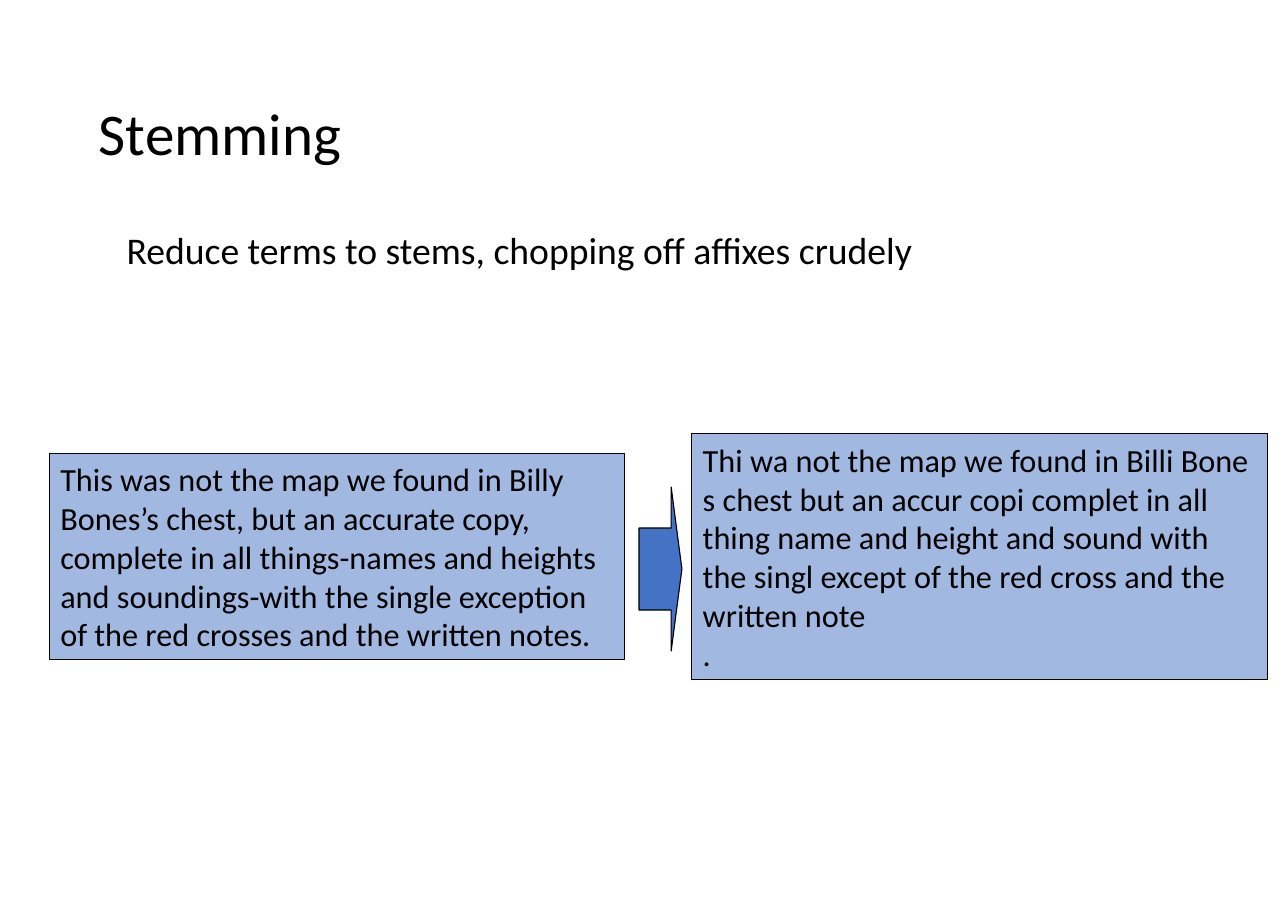
import pptx
import pptx.dml.color
import pptx.enum.shapes
import pptx.enum.text
import pptx.util
from lxml import etree
from pptx.oxml.ns import qn

Cm, Pt = pptx.util.Cm, pptx.util.Pt
RGBColor = pptx.dml.color.RGBColor
Shape = pptx.enum.shapes.MSO_SHAPE
Anchor = pptx.enum.text.MSO_ANCHOR
AutoSize = pptx.enum.text.MSO_AUTO_SIZE
Align = pptx.enum.text.PP_ALIGN

BLACK = RGBColor(0x00, 0x00, 0x00)
BLUE = RGBColor(0x44, 0x72, 0xC4)

TITLE = "Stemming"
BULLET = "Reduce terms to stems, chopping off affixes crudely"
ORIGINAL_TEXT = [
    "This was not the map we found in Billy Bones’s chest, but an accurate copy, "
    "complete in all things-names and heights and soundings-with the single "
    "exception of the red crosses and the written notes.",
]
STEMMED_TEXT = [
    "Thi wa not the map we found in Billi Bone s chest but an accur copi complet "
    "in all thing name and height and sound with the singl except of the red "
    "cross and the written note",
    ".",
]

# Left edge, height and paragraphs of each passage; both share a centre line.
PASSAGES = [(1.14, 4.75, ORIGINAL_TEXT), (15.95, 5.66, STEMMED_TEXT)]
PASSAGE_WIDTH = 13.26
PASSAGE_MIDDLE = 12.83
ARROW = (14.73, 11.23, 0.99, 3.78)


def write(shape, lines, size, anchor=Anchor.TOP, spacing=1.0):
    frame = shape.text_frame
    frame.word_wrap = True
    frame.vertical_anchor = anchor
    frame.text = "\n".join(lines)
    font_format = {"name": "Calibri", "size": Pt(size)}
    for paragraph in frame.paragraphs:
        paragraph.alignment = Align.LEFT
        paragraph.line_spacing = spacing
        for name, value in font_format.items():
            setattr(paragraph.font, name, value)
        paragraph.font.color.rgb = BLACK
    return frame


def add_blue_shape(slide, kind, box):
    shape = slide.shapes.add_shape(kind, *map(Cm, box))
    shape.shadow.inherit = False
    shape.fill.solid()
    shape.fill.fore_color.rgb = BLUE
    shape.line.color.rgb = BLACK
    shape.line.width = Pt(0.75)
    return shape


def set_opacity(shape, percent):
    color = shape.fill._xPr.find(qn("a:solidFill"))[0]
    etree.SubElement(color, qn("a:alpha"), val=str(percent * 1000))


def add_bullet(paragraph, indent):
    properties = paragraph._p.get_or_add_pPr()
    properties.set("marL", str(Cm(indent)))
    properties.set("indent", str(-Cm(indent)))
    etree.SubElement(properties, qn("a:buFont"), typeface="Arial")
    etree.SubElement(properties, qn("a:buChar"), char="•")


def main():
    presentation = pptx.Presentation()
    presentation.slide_width, presentation.slide_height = Cm(29.69), Cm(20.98)
    slide = presentation.slides.add_slide(presentation.slide_layouts[6])

    title = slide.shapes.add_textbox(Cm(2.03), Cm(1.12), Cm(25.63), Cm(4.06))
    write(title, [TITLE], 38.6, Anchor.MIDDLE, 0.9)

    body = slide.shapes.add_textbox(Cm(2.67), Cm(5.23), Cm(24.51), Cm(11.15))
    add_bullet(body.text_frame.paragraphs[0], 0.56)
    write(body, [BULLET], 24.6, spacing=0.9)

    for left, height, lines in PASSAGES:
        top = PASSAGE_MIDDLE - height / 2
        passage = add_blue_shape(slide, Shape.RECTANGLE, (left, top, PASSAGE_WIDTH, height))
        set_opacity(passage, 50)
        write(passage, lines, 21.1, Anchor.MIDDLE).auto_size = AutoSize.SHAPE_TO_FIT_TEXT

    arrow = add_blue_shape(slide, Shape.RIGHT_ARROW, ARROW)
    arrow.adjustments[0] = 0.5
    arrow.adjustments[1] = 0.25

    presentation.save("out.pptx")


if __name__ == "__main__":
    main()
